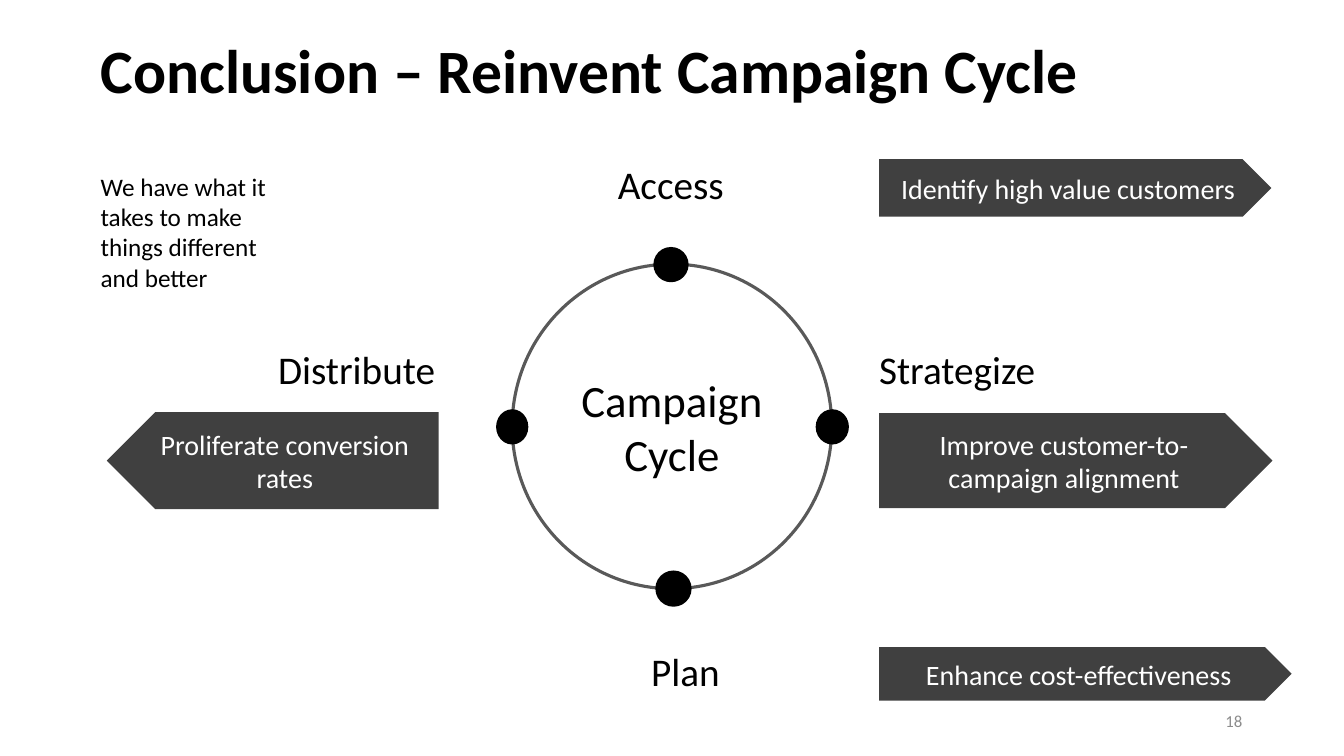
from dataclasses import dataclass

from pptx import Presentation
from pptx.dml.color import RGBColor
from pptx.enum import shapes, text
from pptx.util import Pt

SCALE = 9144


@dataclass(frozen=True)
class Theme:
    font: str = "Calibri"
    black: str = "000000"
    white: str = "FFFFFF"
    dark: str = "404040"
    ring: str = "595959"
    gray: str = "8C8C8C"
    title: int = 44
    hub: int = 32
    label: int = 28
    banner: int = 20
    note: int = 18
    page: int = 12


THEME = Theme()
ALIGN = text.PP_ALIGN
ANCHOR = text.MSO_ANCHOR
FORM = shapes.MSO_SHAPE

BANNERS = [
    ("Identify high value customers", (872, 158, 389, 57), False),
    ("Proliferate conversion rates", (106, 409, 329, 96), True),
    ("Improve customer-to-campaign alignment", (872, 410, 390, 94), False),
    ("Enhance cost-effectiveness", (872, 642, 409, 53), False),
]
LABELS = [
    ("Access", (603, 154, 127, 57)),
    ("Strategize", (862, 338, 339, 57)),
    ("Plan", (636, 637, 313, 57)),
    ("Distribute", (266, 338, 339, 57)),
]
NOTE = ["We have what it", "takes to make", "things different", "and better"]
DOTS = [
    (809, 406, 33, 35),
    (650, 566, 36, 36),
    (492, 406, 32, 35),
    (648, 245, 35, 35),
]


def emu(box):
    return [px * SCALE for px in box]


def write(shape, lines, size, color, align=ALIGN.LEFT, anchor=ANCHOR.TOP, bold=False):
    frame = shape.text_frame
    frame.word_wrap = True
    frame.auto_size = text.MSO_AUTO_SIZE.NONE
    frame.vertical_anchor = anchor
    for i, line in enumerate(lines):
        para = frame.add_paragraph() if i else frame.paragraphs[0]
        para.alignment = align
        run = para.add_run()
        run.text = line
        font = run.font
        font.name = THEME.font
        font.size = Pt(size)
        font.bold = bold
        font.color.rgb = RGBColor.from_string(color)


def add_form(parent, kind, box, fill=None):
    shape = parent.add_shape(kind, *emu(box))
    shape.shadow.inherit = False
    shape.line.fill.background()
    if fill:
        shape.fill.solid()
        shape.fill.fore_color.rgb = RGBColor.from_string(fill)
    else:
        shape.fill.background()
    return shape


def add_title(slide, words, box):
    title = slide.shapes.title
    title.left, title.top, title.width, title.height = emu(box)
    write(title, [words], THEME.title, THEME.black, anchor=ANCHOR.MIDDLE, bold=True)
    title.text_frame.paragraphs[0].line_spacing = 0.9


def add_text(slide, lines, box, size, color=THEME.black, **style):
    write(slide.shapes.add_textbox(*emu(box)), lines, size, color, **style)


def add_banner(slide, words, box, left):
    shape = add_form(slide.shapes, FORM.PENTAGON, box, THEME.dark)
    if left:
        shape._element.spPr.xfrm.set("flipH", "1")
    write(shape, [words], THEME.banner, THEME.white, ALIGN.CENTER, ANCHOR.MIDDLE)


def add_cycle(slide, words, box):
    group = slide.shapes.add_group_shape().shapes
    ring = add_form(group, FORM.OVAL, box)
    ring.line.color.rgb = RGBColor.from_string(THEME.ring)
    ring.line.width = Pt(2.25)
    write(ring, [words], THEME.hub, THEME.black, ALIGN.CENTER, ANCHOR.MIDDLE)
    for dot in DOTS:
        add_form(group, FORM.OVAL, dot, THEME.black)


def main():
    deck = Presentation()
    deck.slide_width, deck.slide_height = emu((1333, 750))
    slide = deck.slides.add_slide(deck.slide_layouts[5])
    add_title(slide, "Conclusion – Reinvent Campaign Cycle", (90, 0, 1150, 145))
    add_text(slide, NOTE, (90, 165, 433, 131), THEME.note)
    for words, box in LABELS:
        add_text(slide, [words], box, THEME.label)
    for words, box, left in BANNERS:
        add_banner(slide, words, box, left)
    add_cycle(slide, "Campaign Cycle", (508, 262, 317, 322))
    add_text(slide, ["18"], (942, 695, 300, 40), THEME.page, THEME.gray,
             align=ALIGN.RIGHT, anchor=ANCHOR.MIDDLE)
    deck.save("out.pptx")


if __name__ == "__main__":
    main()
